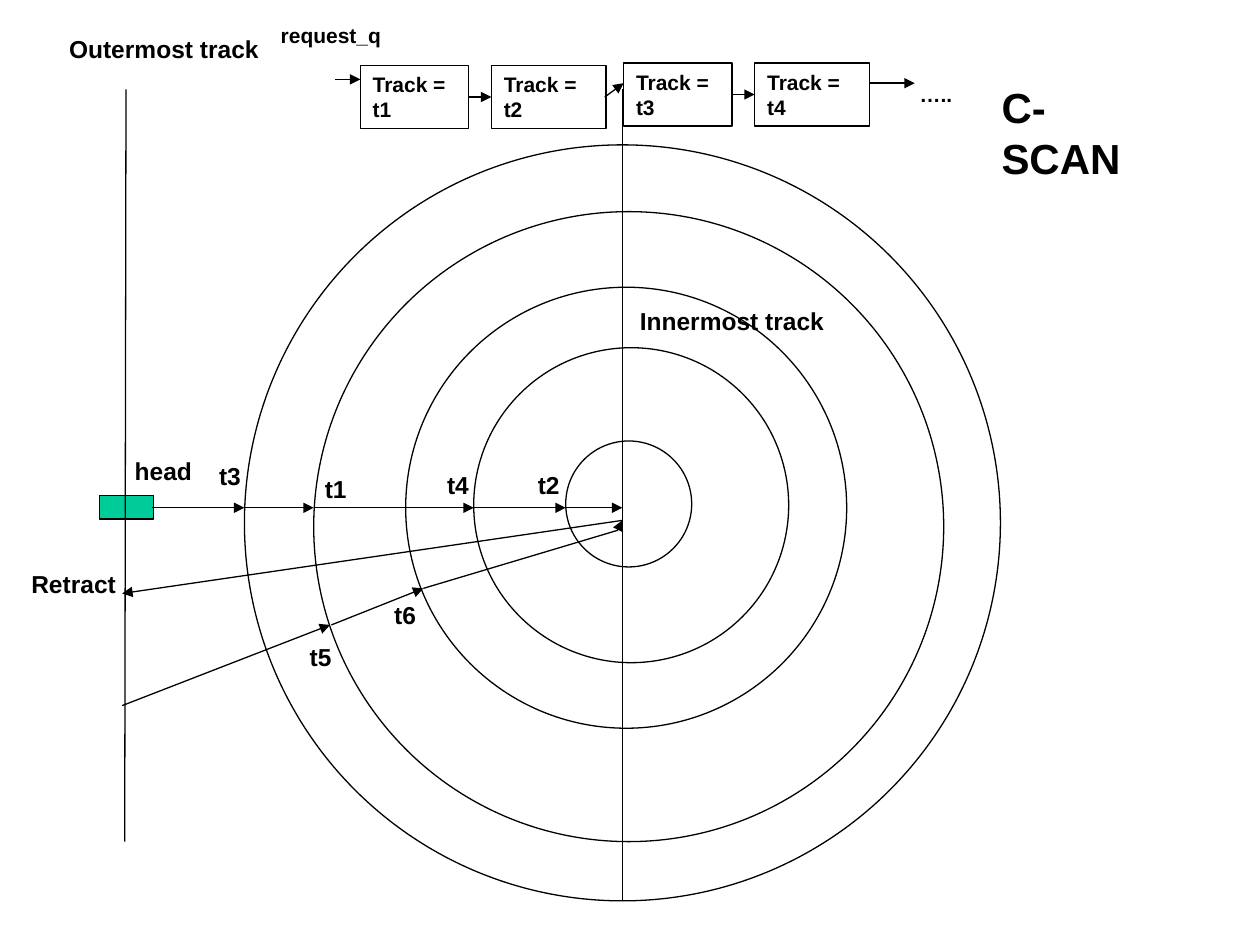
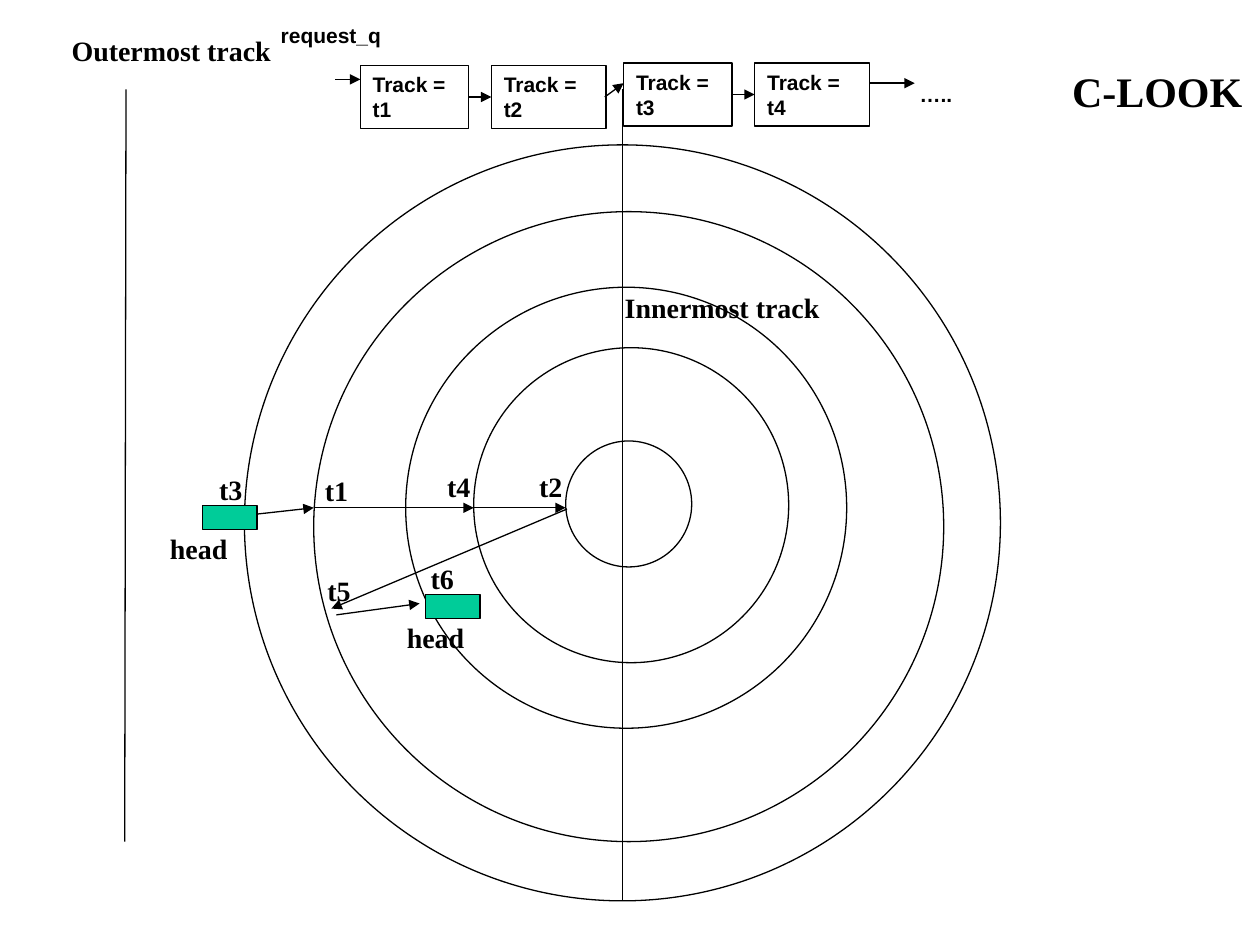
from dataclasses import dataclass
from itertools import pairwise
from lxml.etree import SubElement as Sub
from pptx import Presentation
from pptx.dml.color import RGBColor as Rgb
from pptx.enum.shapes import MSO_CONNECTOR as Link, MSO_SHAPE as Kind
from pptx.enum.text import MSO_ANCHOR as Anchor, MSO_AUTO_SIZE as Fit, PP_ALIGN as Align
from pptx.oxml.ns import qn
from pptx.util import Inches, Pt


@dataclass(frozen=True)
class Theme:
    ink: Rgb = Rgb(0, 0, 0)
    green: Rgb = Rgb(0, 0xCC, 0x99)
    sans: str = "Arial"
    serif: str = "Times New Roman"
    title: int = 24
    scan: int = 14
    look: int = 16
    queue: int = 12
    line: float = 0.75


class Deck:
    def __init__(self, theme):
        self.theme = theme
        self.show = Presentation()
        self.show.slide_width, self.show.slide_height = Inches(10), Inches(7.5)

    def page(self, font, size, high):
        self.slide = self.show.slides.add_slide(self.show.slide_layouts[6])
        self.shapes = self.slide.shapes
        self.font, self.size, self.high = font, size, high

    def fill_text(self, shape, text, font, size, wrap):
        frame = shape.text_frame
        frame.word_wrap, frame.auto_size = wrap, Fit.SHAPE_TO_FIT_TEXT
        frame.vertical_anchor = Anchor.TOP
        para = frame.paragraphs[0]
        para.alignment = Align.LEFT
        run = para.add_run()
        run.text = text
        run.font.name, run.font.size, run.font.bold = font, Pt(size), True
        run.font.color.rgb = self.theme.ink

    def text(self, text, x, y, w, h, font, size, wrap=False):
        box = self.shapes.add_textbox(Inches(x), Inches(y), Inches(w), Inches(h))
        self.fill_text(box, text, font, size, wrap)

    def title(self, text, x, y, w):
        self.text(text, x, y, w, 0.5, self.font, self.theme.title)

    def label(self, text, x, y, w=0.43):
        self.text(text, x, y, w, self.high, self.font, self.size)

    def shape(self, kind, x, y, w, h, fill=None):
        shape = self.shapes.add_shape(kind, Inches(x), Inches(y), Inches(w), Inches(h))
        shape.shadow.inherit = False
        if fill:
            shape.fill.solid()
            shape.fill.fore_color.rgb = fill
        else:
            shape.fill.background()
        self.stroke(shape)
        return shape

    def stroke(self, shape, tip=False):
        shape.line.color.rgb = self.theme.ink
        shape.line.width = Pt(self.theme.line)
        if tip:
            edge = shape._element.spPr.find(qn("a:ln"))
            Sub(edge, qn("a:tailEnd"), type="triangle")

    def line(self, start, end, tip=True):
        ends = [Inches(v) for v in (*start, *end)]
        link = self.shapes.add_connector(Link.STRAIGHT, *ends)
        self.stroke(link, tip)
        Sub(link._element.spPr, qn("a:effectLst"))

    def bend(self, start, *rest):
        pen = self.shapes.build_freeform(Inches(start[0]), Inches(start[1]))
        pen.add_line_segments([(Inches(x), Inches(y)) for x, y in rest], close=False)
        curve = pen.convert_to_shape()
        curve.shadow.inherit = False
        curve.fill.background()
        self.stroke(curve, True)

    def head(self, x, y):
        self.shape(Kind.RECTANGLE, x, y, 0.43, 0.19, self.theme.green)

    def disk(self):
        for x, y, size in RINGS:
            self.shape(Kind.OVAL, x, y, size, size)

    def rails(self):
        self.line((1, 0.71), (0.99, 6.68), False)
        self.line((4.94, 0.71), (4.94, 7.15), False)

    def queue(self):
        theme = self.theme
        self.shapes = self.slide.shapes.add_group_shape().shapes
        for num, (x, y, w) in enumerate(TRACKS, 1):
            box = self.shape(Kind.RECTANGLE, x, y, w, 0.5)
            self.fill_text(box, f"Track = t{num}", theme.sans, theme.queue, True)
        for start, end in HOPS:
            self.line(start, end)
        self.text("request_q", 2.13, 0.13, 1.07, 0.3, theme.sans, theme.queue, True)
        self.text("…..", 7.2, 0.6, 0.46, 0.3, theme.sans, theme.queue)
        self.shapes = self.slide.shapes


RINGS = [(1.94, 1.15, 6), (2.49, 1.68, 5), (3.22, 2.28, 3.5), (3.76, 2.76, 2.5), (4.49, 3.5, 1)]
TRACKS = [(2.86, 0.52, 0.86), (3.9, 0.52, 0.91), (4.95, 0.5, 0.86), (5.99, 0.5, 0.91)]
HOPS = [
    ((2.66, 0.63), (2.86, 0.63)),
    ((3.72, 0.77), (3.9, 0.77)),
    ((4.8, 0.77), (4.95, 0.66)),
    ((5.82, 0.75), (5.99, 0.75)),
    ((6.9, 0.66), (7.26, 0.66)),
]


def scan(deck):
    deck.page(deck.theme.sans, deck.theme.scan, 0.34)
    deck.title("C-SCAN", 7.85, 0.6, 1.49)
    deck.disk()
    deck.head(0.79, 3.93)
    deck.rails()
    for left, right in pairwise([1.21, 1.94, 2.49, 3.76, 4.49, 4.94]):
        deck.line((left, 4.03), (right, 4.03))
    deck.line((4.94, 4.13), (0.97, 4.71))
    deck.line((0.97, 5.6), (2.62, 4.96))
    deck.line((2.63, 4.96), (3.36, 4.67))
    deck.bend((3.36, 4.67), (4.9, 4.21), (4.94, 4.13))
    for item in [
        ("Outermost track", 0.45, 0.22, 1.87),
        ("Innermost track", 4.98, 2.38, 1.77),
        ("head", 0.97, 3.57, 0.71),
        ("Retract", 0.15, 4.47, 0.98),
        ("t3", 1.64, 3.61),
        ("t1", 2.48, 3.71),
        ("t4", 3.45, 3.68),
        ("t2", 4.17, 3.68),
        ("t6", 3.03, 4.71),
        ("t5", 2.36, 5.05),
    ]:
        deck.label(*item)
    deck.queue()


def look(deck):
    deck.page(deck.theme.serif, deck.theme.look, 0.37)
    deck.title("C-LOOK", 8.41, 0.47, 1.55)
    deck.disk()
    deck.head(1.61, 4.01)
    deck.head(3.38, 4.72)
    deck.rails()
    for start, end in pairwise([(2.04, 4.08), (2.49, 4.03), (3.76, 4.03), (4.49, 4.03)]):
        deck.line(start, end)
    deck.line((4.5, 4.04), (2.63, 4.83))
    deck.line((2.67, 4.88), (3.33, 4.79))
    for item in [
        ("Outermost track", 0.47, 0.22, 1.95),
        ("Innermost track", 4.86, 2.26, 1.85),
        ("head", 1.25, 4.17, 0.71),
        ("head", 3.13, 4.88, 0.71),
        ("t3", 1.64, 3.7),
        ("t1", 2.48, 3.71),
        ("t4", 3.45, 3.68),
        ("t2", 4.18, 3.68),
        ("t6", 3.32, 4.41),
        ("t5", 2.5, 4.5),
    ]:
        deck.label(*item)
    deck.queue()


def main():
    deck = Deck(Theme())
    scan(deck)
    look(deck)
    deck.show.save("out.pptx")


if __name__ == "__main__":
    main()
